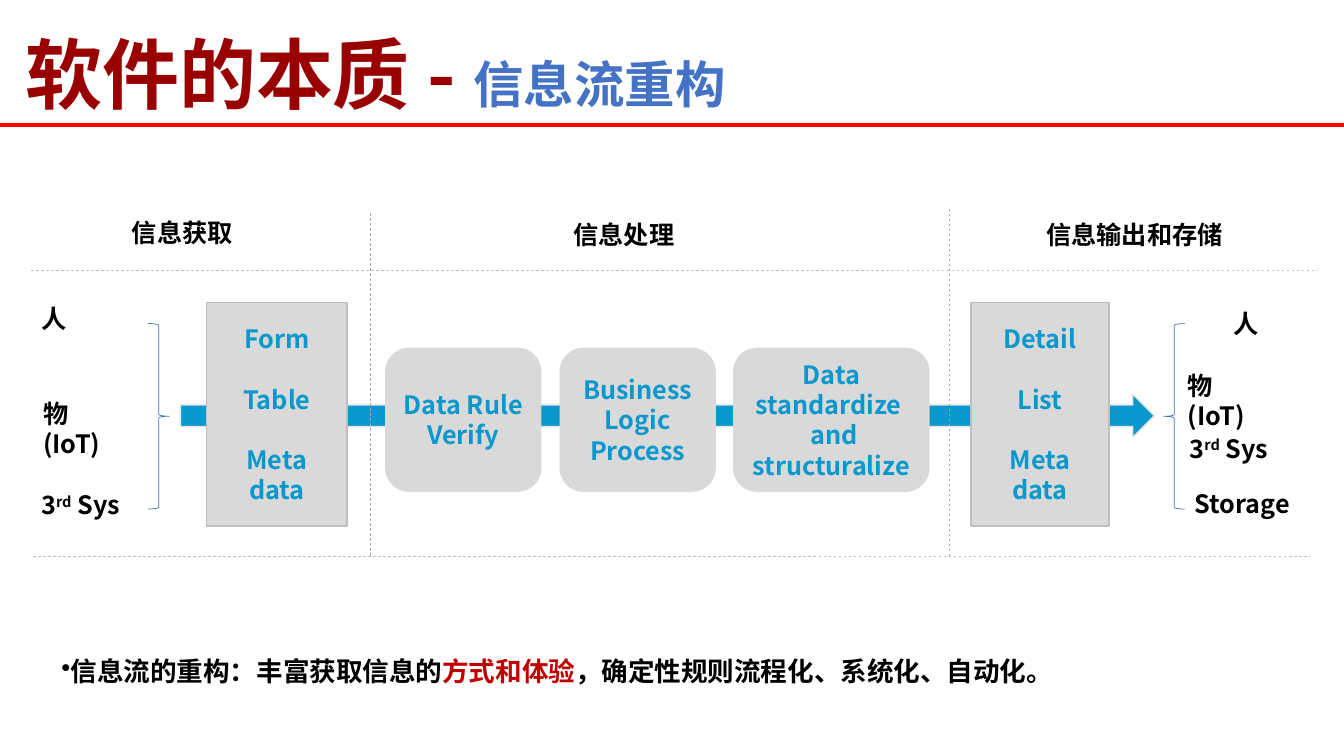
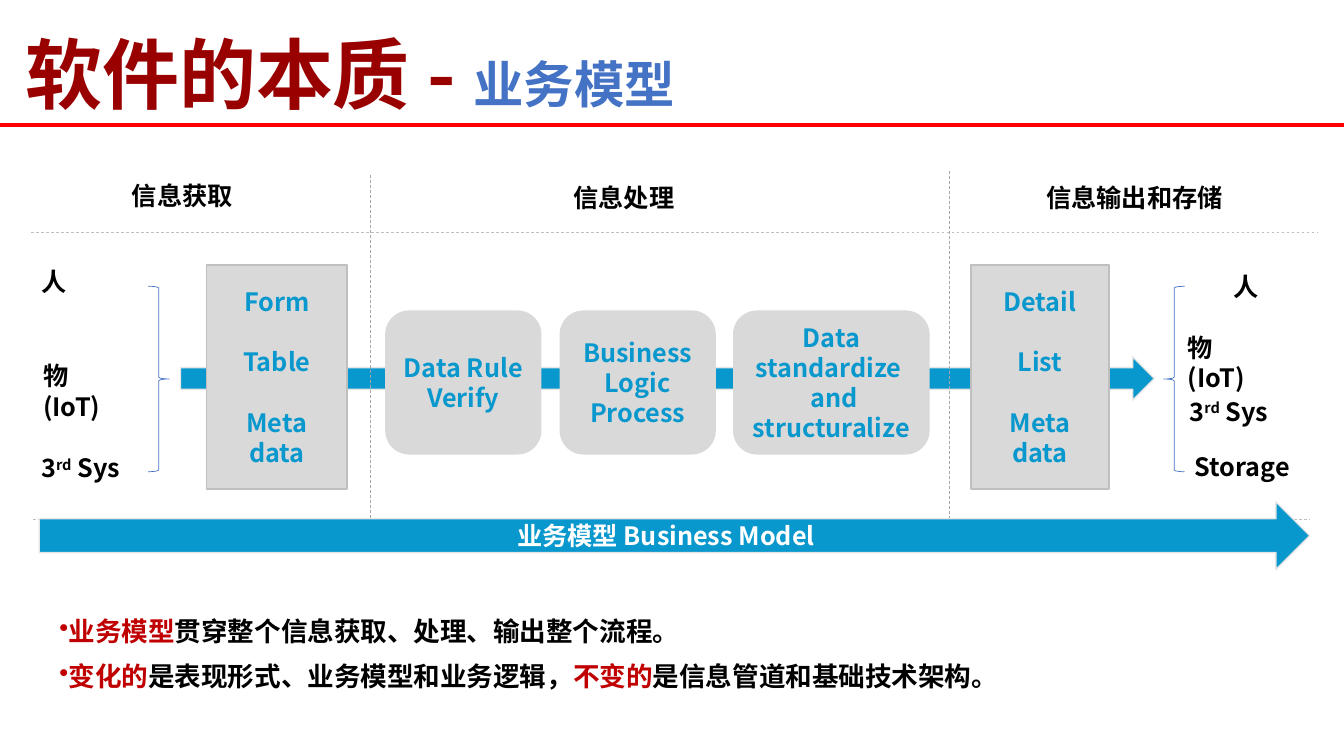
from pptx import Presentation
from pptx.dml.color import RGBColor
from pptx.enum.dml import MSO_LINE
from pptx.enum.shapes import MSO_CONNECTOR, MSO_SHAPE
from pptx.enum.text import MSO_ANCHOR, MSO_AUTO_SIZE, PP_ALIGN
from pptx.oxml.ns import qn
from pptx.util import Inches, Pt
from lxml import etree

FONT = "Noto Sans CJK SC"
DARK_RED = RGBColor(0x99, 0x00, 0x00)
RED = RGBColor(0xFF, 0x00, 0x00)
ACCENT_RED = RGBColor(0xC0, 0x00, 0x00)
BLUE = RGBColor(0x44, 0x72, 0xC4)
CYAN = RGBColor(0x08, 0x98, 0xCD)
BLACK = RGBColor(0x00, 0x00, 0x00)
WHITE = RGBColor(0xFF, 0xFF, 0xFF)
PANEL = RGBColor(0xD9, 0xD9, 0xD9)
PALE = RGBColor(0xE6, 0xE6, 0xE6)
SILVER = RGBColor(0xBF, 0xBF, 0xBF)
GRAY = RGBColor(0xA6, 0xA6, 0xA6)

SIDE_PANELS = [
    (2.05, 1.39, ["Form", "Table", "Meta\vdata"]),
    (9.63, 1.37, ["Detail", "List", "Meta\vdata"]),
]
STEPS = [
    (3.82, 1.55, ["Data Rule", "Verify"]),
    (5.55, 1.55, ["Business Logic", "Process"]),
    (7.27, 1.95, ["Data", "standardize\u00a0", " and structuralize"]),
]
LABELS = [
    (0.31, 2.96, 0.35, "人"),
    (0.33, 3.9, 1.06, "物\v(IoT)"),
    (0.31, 4.81, 1.03, "3^rd^ Sys"),
    (12.14, 3.01, 0.35, "人"),
    (11.68, 3.62, 1.06, "物\v(IoT)"),
    (11.7, 4.25, 1.03, "3^rd^ Sys"),
    (11.75, 4.8, 1.19, "Storage"),
    (1.21, 2.11, 1.37, "信息获取"),
    (5.59, 2.13, 1.41, "信息处理"),
    (10.28, 2.13, 2.17, "信息输出和存储"),
]
GUIDES = [
    (3.67, 2.11, 3.67, 5.52, GRAY),
    (9.42, 2.07, 9.42, 5.52, GRAY),
    (0.31, 2.68, 13.06, 2.68, SILVER),
    (0.33, 5.52, 12.99, 5.52, SILVER),
]
SLIDES = [
    {
        "topic": "信息流重构",
        "shift": 0,
        "banner": None,
        "points_box": (0.27, 6.32, 12.74, 0.55),
        "points": [[
            ("信息流的重构：丰富获取信息的", BLACK),
            ("方式和体验", ACCENT_RED),
            ("，确定性规则流程化、系统化、自动化。", BLACK),
        ]],
    },
    {
        "topic": "业务模型",
        "shift": -0.37,
        "banner": "业务模型 Business Model",
        "points_box": (0.25, 5.93, 12.74, 1),
        "points": [
            [
                ("业务模型", ACCENT_RED),
                ("贯穿整个信息获取、处理、输出整个流程。", BLACK),
            ],
            [
                ("变化的", ACCENT_RED),
                ("是表现形式、业务模型和业务逻辑，", BLACK),
                ("不变的", ACCENT_RED),
                ("是信息管道和基础技术架构。", BLACK),
            ],
        ],
    },
]


def write(shape, paragraphs, align=PP_ALIGN.LEFT, anchor=MSO_ANCHOR.TOP, gap=0):
    frame = shape.text_frame
    frame.word_wrap = True
    frame.auto_size = MSO_AUTO_SIZE.NONE
    frame.vertical_anchor = anchor
    for index, runs in enumerate(paragraphs):
        paragraph = frame.paragraphs[0] if index == 0 else frame.add_paragraph()
        paragraph.alignment = align
        paragraph.space_before = Pt(gap if index else 0)
        for text, size, color in runs:
            for part, piece in enumerate(text.split("^")):
                for row, line in enumerate(piece.split("\v")):
                    if row:
                        paragraph.add_line_break()
                    run = paragraph.add_run()
                    run.text = line
                    run.font.name = FONT
                    run.font.size = Pt(size)
                    run.font.bold = True
                    run.font.color.rgb = color
                    properties = run._r.get_or_add_rPr()
                    etree.SubElement(properties, qn("a:ea"), typeface=FONT)
                    if part == 1:
                        properties.set("baseline", "30000")


def draw(slide, preset, box, fill=None, line=None, width=1):
    if preset is None:
        shape = slide.shapes.add_connector(MSO_CONNECTOR.STRAIGHT, *map(Inches, box))
        etree.SubElement(shape._element.spPr, qn("a:effectLst"))
    else:
        shape = slide.shapes.add_shape(preset, *map(Inches, box))
        shape.shadow.inherit = False
        if fill is None:
            shape.fill.background()
        else:
            shape.fill.solid()
            shape.fill.fore_color.rgb = fill
    if line is None:
        shape.line.fill.background()
    else:
        shape.line.color.rgb = line
        shape.line.width = Pt(width)
    return shape


prs = Presentation()
prs.slide_width = Inches(13.33)
prs.slide_height = Inches(7.5)

for spec in SLIDES:
    slide = prs.slides.add_slide(prs.slide_layouts[5])
    shift = spec["shift"]

    title = slide.shapes.title
    title.left, title.top, title.width, title.height = map(Inches, (0.15, 0.2, 13.04, 1.04))
    write(title, [[("软件的本质 - ", 55, DARK_RED), (spec["topic"], 36, BLUE)]],
          anchor=MSO_ANCHOR.MIDDLE)
    draw(slide, None, (0, 1.24, 13.33, 1.24), line=RED, width=3)

    draw(slide, MSO_SHAPE.RIGHT_ARROW, (1.79, 3.91 + shift, 9.66, 0.43), CYAN, PALE)

    for left, width, lines in STEPS:
        step = draw(slide, MSO_SHAPE.ROUNDED_RECTANGLE, (left, 3.45 + shift, width, 1.43), PANEL)
        write(step, [[(line, 18, CYAN)] for line in lines], PP_ALIGN.CENTER, MSO_ANCHOR.MIDDLE)

    for left, width, lines in SIDE_PANELS:
        panel = draw(slide, MSO_SHAPE.RECTANGLE, (left, 3 + shift, width, 2.22), PANEL, SILVER)
        write(panel, [[(line, 18, CYAN)] for line in lines], PP_ALIGN.CENTER,
              MSO_ANCHOR.MIDDLE, gap=21.6)

    for left, rotation in ((1.47, 0), (11.54, 180)):
        brace = draw(slide, MSO_SHAPE.RIGHT_BRACE, (left, 3.21 + shift, 0.21, 1.84),
                     line=BLUE, width=0.5)
        brace.rotation = rotation

    for left, top, width, text in LABELS:
        label = slide.shapes.add_textbox(*map(Inches, (left, top + shift, width, 0.4)))
        write(label, [[(text, 18, BLACK)]])

    for x1, y1, x2, y2, color in GUIDES:
        guide = draw(slide, None, (x1, y1 + shift, x2, y2 + shift), line=color, width=0.5)
        guide.line.dash_style = MSO_LINE.DASH

    if spec["banner"]:
        banner = draw(slide, MSO_SHAPE.RIGHT_ARROW, (0.39, 4.98, 12.6, 0.67), CYAN, PALE)
        write(banner, [[(spec["banner"], 18, WHITE)]], PP_ALIGN.CENTER, MSO_ANCHOR.MIDDLE)

    points = slide.shapes.add_textbox(*map(Inches, spec["points_box"]))
    write(points, [[(text, 19, color) for text, color in runs] for runs in spec["points"]])
    for paragraph in points.text_frame.paragraphs:
        paragraph.line_spacing = 1.4
        properties = paragraph._p.get_or_add_pPr()
        properties.set("marL", "0")
        properties.set("indent", str(Inches(0.24)))
        etree.SubElement(properties, qn("a:buChar"), char="•")

prs.save("out.pptx")
